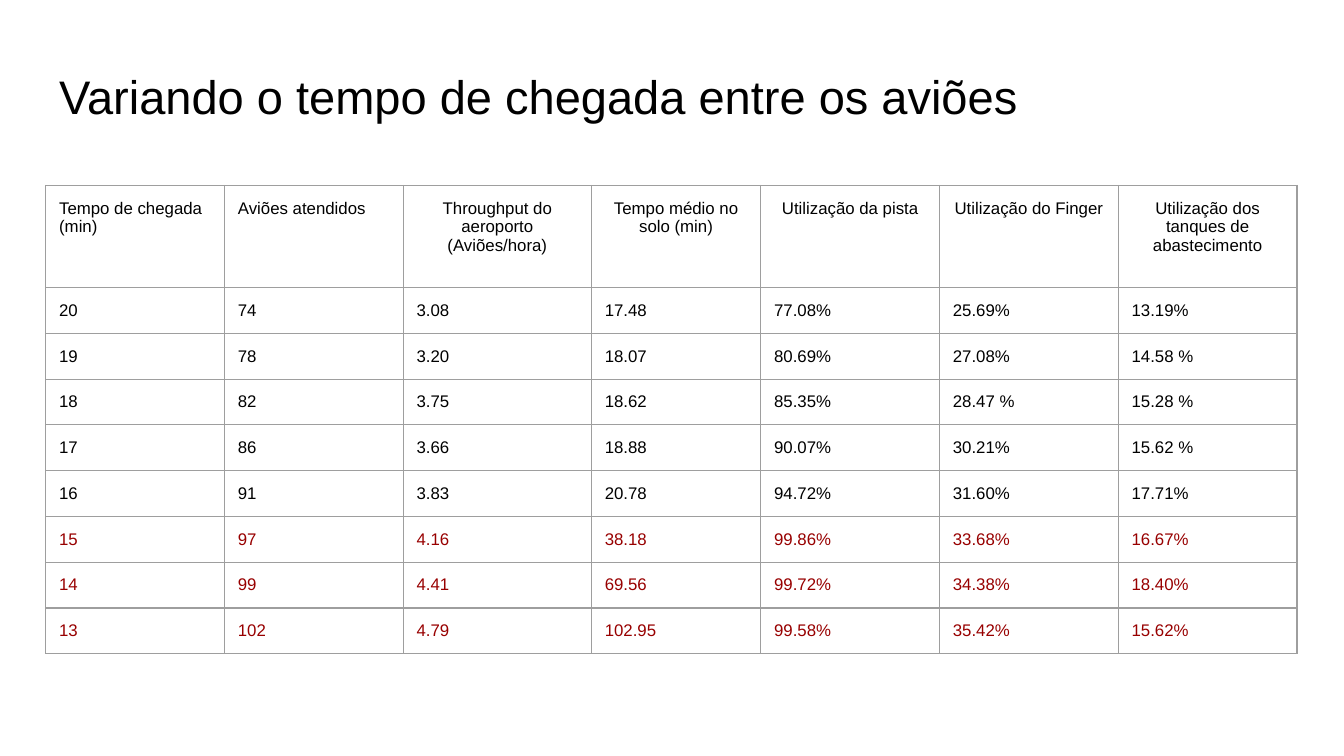
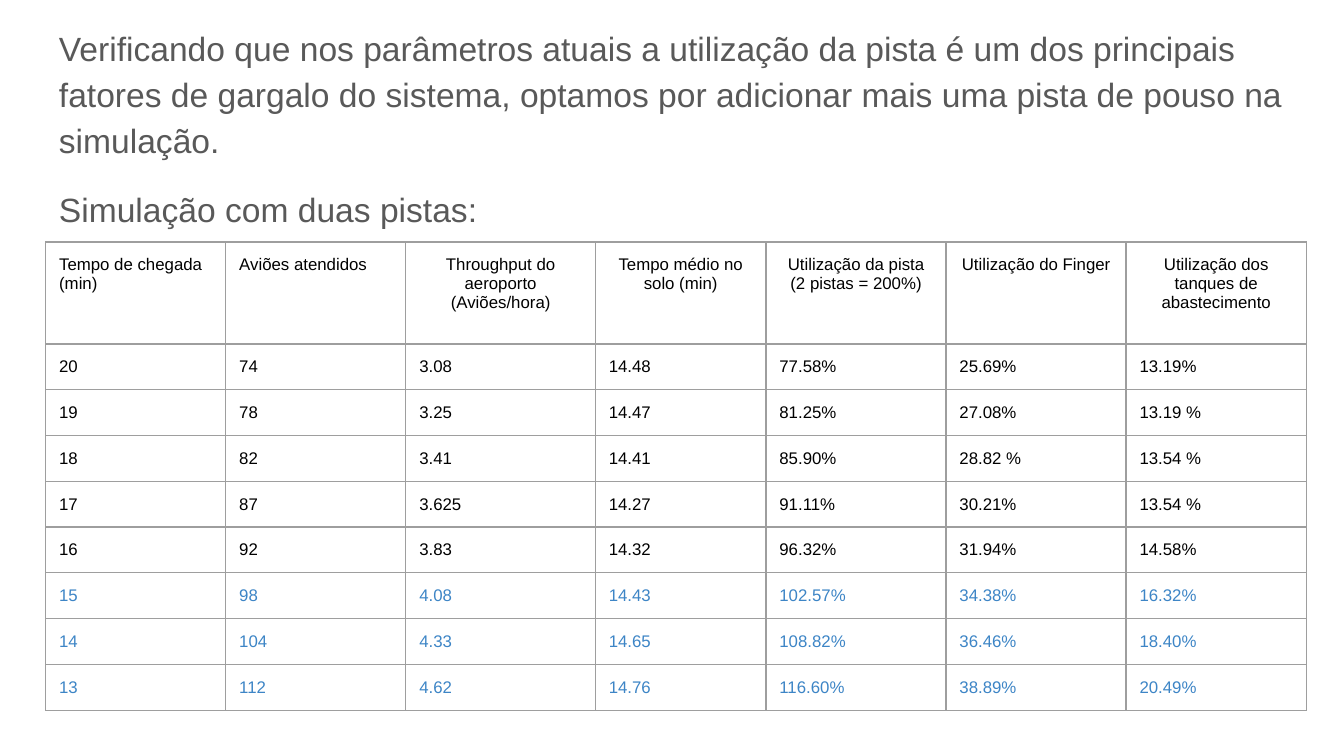
from dataclasses import dataclass

from lxml import etree
from pptx import Presentation
from pptx.dml.color import RGBColor
from pptx.enum.text import MSO_ANCHOR, MSO_AUTO_SIZE, PP_ALIGN
from pptx.oxml.ns import qn
from pptx.util import Inches, Pt

LEFT, CENTER = PP_ALIGN.LEFT, PP_ALIGN.CENTER
TOP = MSO_ANCHOR.TOP
NO_AUTOFIT = MSO_AUTO_SIZE.NONE
TITLE_ONLY, BLANK = 5, 6


@dataclass(frozen=True)
class Theme:
    font: str = "Arial"
    ink: str = "000000"
    body: str = "595959"
    border: str = "9E9E9E"
    red: str = "980000"
    blue: str = "3D85C6"
    title_size: float = 25.2
    body_size: float = 18
    table_size: float = 9
    border_width: float = 0.75
    inset: float = 0.1
    left: float = 0.34
    width: float = 9.32
    header_height: float = 0.76
    row_height: float = 0.34


class Page:
    """The style and the current slide."""

    def __init__(self, deck, theme, layout):
        self.theme = theme
        self.slide = deck.slides.add_slide(deck.slide_layouts[layout])

    def style(self, para, size, color, align=LEFT):
        para.alignment = align
        for span in para.runs:
            span.font.name = self.theme.font
            span.font.size = Pt(size)
            span.font.color.rgb = RGBColor.from_string(color)

    def set_frame(self, frame):
        frame.word_wrap = True
        frame.auto_size = NO_AUTOFIT
        frame.vertical_anchor = TOP
        frame.margin_left = frame.margin_right = Inches(self.theme.inset)
        frame.margin_top = frame.margin_bottom = Inches(self.theme.inset)

    def title(self, text, top, height):
        box = self.slide.shapes.title
        box.left, box.top = Inches(self.theme.left), Inches(top)
        box.width, box.height = Inches(self.theme.width), Inches(height)
        self.set_frame(box.text_frame)
        box.text_frame.text = text
        self.style(box.text_frame.paragraphs[0], self.theme.title_size, self.theme.ink)

    def body(self, texts, top, height):
        box = self.slide.shapes.add_textbox(
            Inches(self.theme.left), Inches(top), Inches(self.theme.width), Inches(height))
        self.set_frame(box.text_frame)
        box.text_frame.text = "\n".join(texts)
        for index, para in enumerate(box.text_frame.paragraphs):
            para.line_spacing = 1.15
            if index:
                para.space_before = para.space_after = Pt(12)
            self.style(para, self.theme.body_size, self.theme.body)

    def border(self, cell):
        properties = cell._tc.get_or_add_tcPr()
        for index, side in enumerate(("a:lnL", "a:lnR", "a:lnT", "a:lnB")):
            line = etree.Element(qn(side), w=str(Pt(self.theme.border_width)))
            fill = etree.SubElement(line, qn("a:solidFill"))
            etree.SubElement(fill, qn("a:srgbClr"), val=self.theme.border)
            properties.insert(index, line)

    def table(self, rows, top, columns, accent, accent_from):
        """Centre the headings after the second; colour rows from accent_from on."""
        theme = self.theme
        heights = [theme.header_height] + [theme.row_height] * (len(rows) - 1)
        table = self.slide.shapes.add_table(
            len(rows), len(columns), Inches(theme.left), Inches(top),
            Inches(sum(columns)), Inches(sum(heights))).table
        table.first_row = table.horz_banding = False
        for column, width in zip(table.columns, columns):
            column.width = Inches(width)
        for row, height in zip(table.rows, heights):
            row.height = Inches(height)
        for r, values in enumerate(rows):
            color = accent if r >= accent_from else theme.ink
            for c, value in enumerate(values):
                cell = table.cell(r, c)
                cell.fill.background()
                cell.margin_left = cell.margin_right = Inches(theme.inset)
                cell.margin_top = cell.margin_bottom = Inches(theme.inset)
                cell.text_frame.text = value
                align = CENTER if r == 0 and c > 1 else LEFT
                for para in cell.text_frame.paragraphs:
                    self.style(para, theme.table_size, color, align)
                self.border(cell)


def headings(runway):
    return ("Tempo de chegada (min)", "Aviões atendidos",
            "Throughput do aeroporto (Aviões/hora)", "Tempo médio no solo (min)",
            runway, "Utilização do Finger", "Utilização dos tanques de abastecimento")


def column_widths(common, throughput, ground_time):
    return [common] * 2 + [throughput, ground_time] + [common] * 3


ONE_RUNWAY = [
    headings("Utilização da pista"),
    ("20", "74", "3.08", "17.48", "77.08%", "25.69%", "13.19%"),
    ("19", "78", "3.20", "18.07", "80.69%", "27.08%", "14.58 %"),
    ("18", "82", "3.75", "18.62", "85.35%", "28.47 %", "15.28 %"),
    ("17", "86", "3.66", "18.88", "90.07%", "30.21%", "15.62 %"),
    ("16", "91", "3.83", "20.78", "94.72%", "31.60%", "17.71%"),
    ("15", "97", "4.16", "38.18", "99.86%", "33.68%", "16.67%"),
    ("14", "99", "4.41", "69.56", "99.72%", "34.38%", "18.40%"),
    ("13", "102", "4.79", "102.95", "99.58%", "35.42%", "15.62%"),
]
TWO_RUNWAYS = [
    headings("Utilização da pista\n(2 pistas = 200%)"),
    ("20", "74", "3.08", "14.48", "77.58%", "25.69%", "13.19%"),
    ("19", "78", "3.25", "14.47", "81.25%", "27.08%", "13.19 %"),
    ("18", "82", "3.41", "14.41", "85.90%", "28.82 %", "13.54 %"),
    ("17", "87", "3.625", "14.27", "91.11%", "30.21%", "13.54 %"),
    ("16", "92", "3.83", "14.32", "96.32%", "31.94%", "14.58%"),
    ("15", "98", "4.08", "14.43", "102.57%", "34.38%", "16.32%"),
    ("14", "104", "4.33", "14.65", "108.82%", "36.46%", "18.40%"),
    ("13", "112", "4.62", "14.76", "116.60%", "38.89%", "20.49%"),
]
FIRST_SATURATED_ROW = 6

theme = Theme()
deck = Presentation()
deck.slide_width = Inches(10)
deck.slide_height = Inches(10 * 9 / 16)

# Slide 1: one runway
page = Page(deck, theme, TITLE_ONLY)
page.title("Variando o tempo de chegada entre os aviões", 0.4, 0.63)
page.table(ONE_RUNWAY, 1.38, column_widths(1.33, 1.4, 1.26), theme.red, FIRST_SATURATED_ROW)

# Slide 2: two runways
page = Page(deck, theme, BLANK)
page.body(["Verificando que nos parâmetros atuais a utilização da pista é um dos principais "
           "fatores de gargalo do sistema, optamos por adicionar mais uma pista de pouso na "
           "simulação.",
           "Simulação com duas pistas:"], 0.06, 1.82)
page.table(TWO_RUNWAYS, 1.8, column_widths(1.34, 1.41, 1.27), theme.blue, FIRST_SATURATED_ROW)

deck.save("out.pptx")
